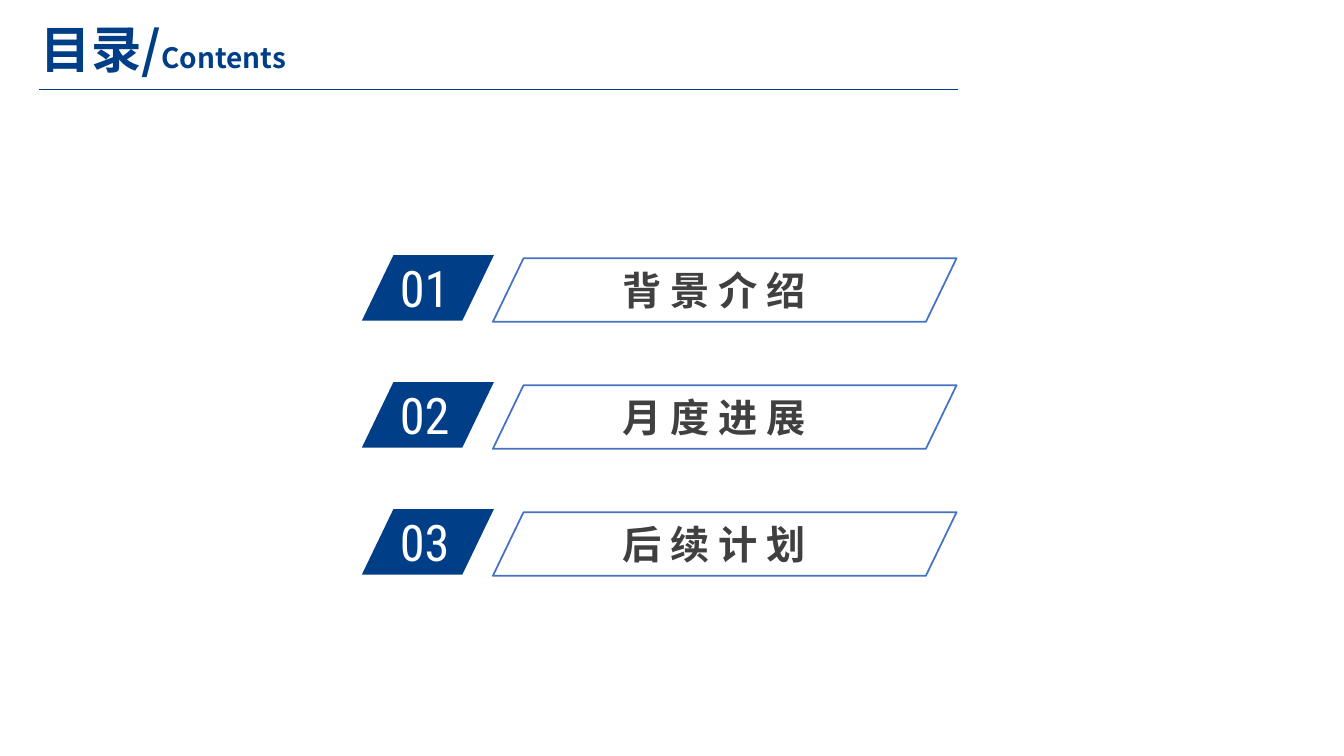
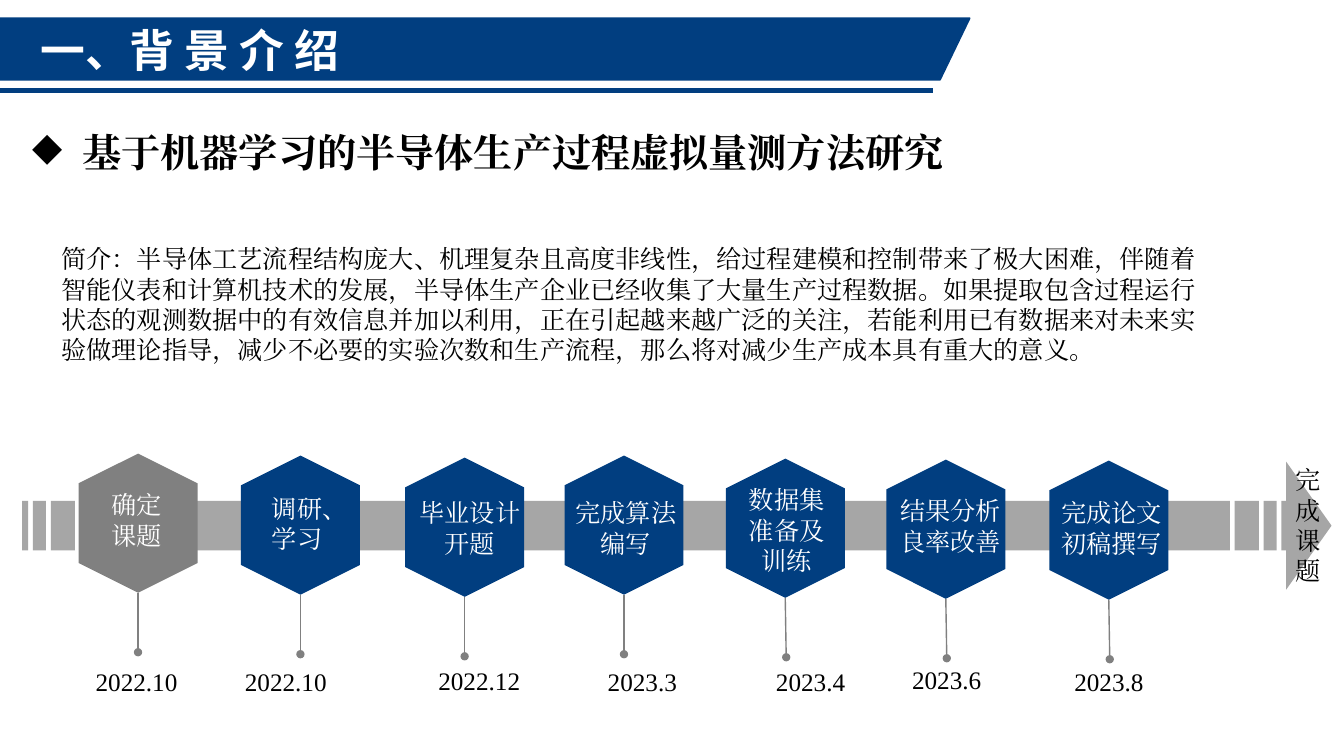
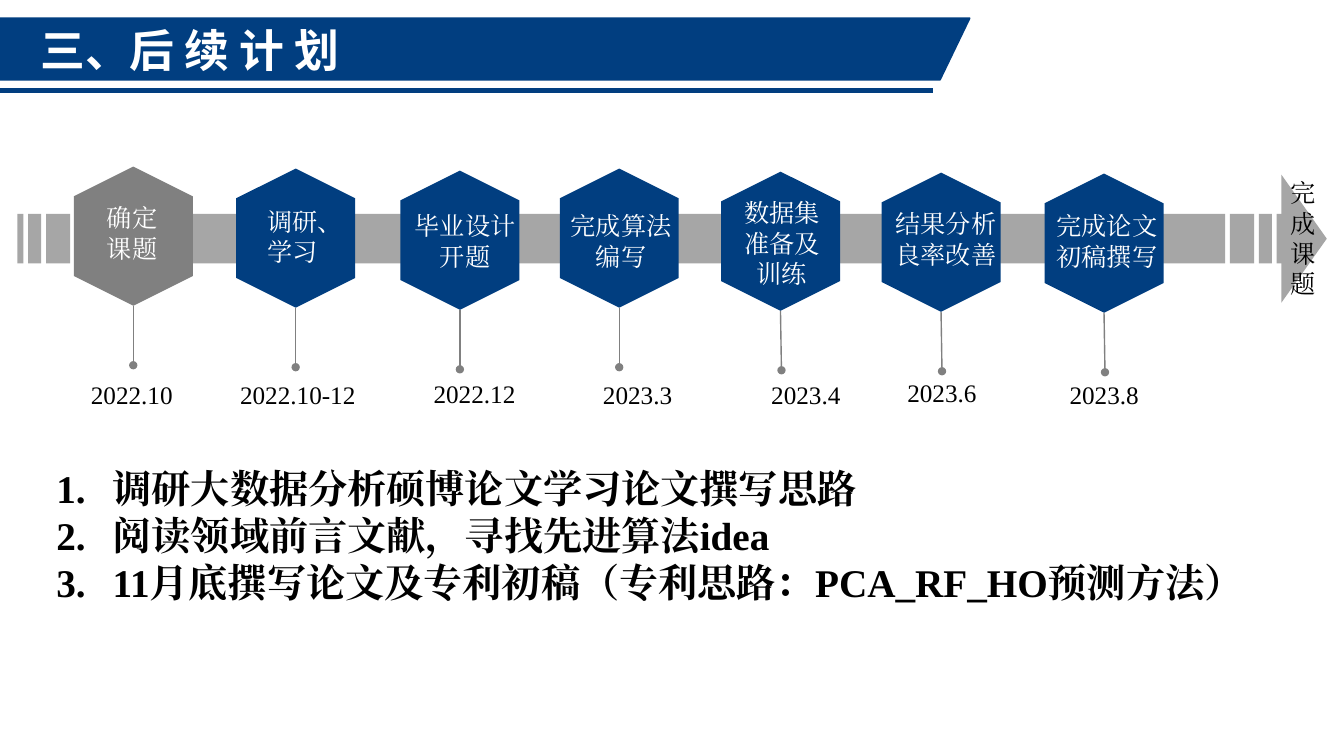
from dataclasses import dataclass

from pptx import Presentation
from pptx.dml.color import RGBColor
from pptx.enum.shapes import MSO_CONNECTOR, MSO_SHAPE
from pptx.enum.text import MSO_ANCHOR, PP_ALIGN
from pptx.oxml.ns import qn
from pptx.util import Pt
from lxml.etree import SubElement


@dataclass(frozen=True)
class Theme:
    navy: str = "003F88"
    band: str = "013E80"
    frame: str = "4472C4"
    rail: str = "A6A6A6"
    gray: str = "808080"
    dark: str = "404040"
    black: str = "000000"
    white: str = "FFFFFF"
    sans: str = "Noto Sans CJK SC"
    slim: str = "Roboto Condensed"
    serif: str = "Times New Roman"
    big: int = 36
    head: int = 32
    lead: int = 28
    sub: int = 20
    body: int = 18
    slant: float = 0.482


THEME = Theme()


@dataclass(frozen=True)
class Step:
    """A milestone: hexagon centre, then label and date boxes."""
    label: str
    date: str
    x: float
    y: float
    box: tuple
    spot: tuple
    align: PP_ALIGN = PP_ALIGN.CENTER
    fill: str = THEME.band
    lean: float = 0


STEPS = [
    Step("确定课题", "2022.10", 98.6, 373.7, (72.7, 346.3, 51.2, 51), (61.2, 472.3),
         align=PP_ALIGN.LEFT, fill=THEME.gray),
    Step("调研、学习", "2022.10", 214.6, 375.1, (187.2, 348.5, 72, 51), (167.8, 472.3),
         align=PP_ALIGN.LEFT),
    Step("毕业设计\n开题", "2022.12", 331.9, 376.6, (290.6, 352, 90, 51), (306, 471.6)),
    Step("完成算法编写", "2023.3", 445.7, 375.1, (399.6, 352, 95, 51), (427, 472.3)),
    Step("数据集准备及训练", "2023.4", 560.9, 377.3, (523.4, 342.7, 77, 72.7), (547.2, 472.3),
         lean=0.7),
    Step("结果分析良率改善", "2023.6", 675.6, 378, (632.2, 350.6, 93.6, 51), (644.4, 470.9),
         lean=0.7),
    Step("完成论文初稿撰写", "2023.8", 792, 378.7, (751, 352, 89.3, 51), (760.3, 472.3),
         align=PP_ALIGN.LEFT, lean=0.7),
]

INTRO = (
    "简介：半导体工艺流程结构庞大、机理复杂且高度非线性，给过程建模和控制带来了极大困难，"
    "伴随着智能仪表和计算机技术的发展，半导体生产企业已经收集了大量生产过程数据。"
    "如果提取包含过程运行状态的观测数据中的有效信息并加以利用，正在引起越来越广泛的关注，"
    "若能利用已有数据来对未来实验做理论指导，减少不必要的实验次数和生产流程，"
    "那么将对减少生产成本具有重大的意义。"
)

PLANS = (
    "调研大数据分析硕博论文学习论文撰写思路\n"
    "阅读领域前言文献，寻找先进算法idea\n"
    "11月底撰写论文及专利初稿（专利思路：PCA_RF_HO预测方法）"
)


def rgb(code):
    return RGBColor.from_string(code)


def style(run, size, color, font, bold):
    run.font.size = Pt(size)
    run.font.color.rgb = rgb(color)
    run.font.bold = bold
    run.font.name = font
    SubElement(run.font._element, qn("a:ea")).set("typeface", font)


def bullet(para, tag, indent, **attrs):
    """Give a paragraph a hanging bullet of the given XML kind."""
    props = para._p.get_or_add_pPr()
    props.set("marL", str(Pt(indent)))
    props.set("indent", str(-Pt(indent)))
    mark = SubElement(props, qn(tag))
    for key, value in attrs.items():
        mark.set(key, value)


def text(slide, words, box, size=THEME.body, color=THEME.black, font=THEME.serif,
         bold=False, align=PP_ALIGN.LEFT, anchor=MSO_ANCHOR.TOP, inset=(7.2, 3.6),
         wrap=True):
    """Write one paragraph for each line of words, and return the frame."""
    frame = slide.shapes.add_textbox(*map(Pt, box)).text_frame
    frame.word_wrap = wrap
    frame.vertical_anchor = anchor
    frame.margin_left = frame.margin_right = Pt(inset[0])
    frame.margin_top = frame.margin_bottom = Pt(inset[1])
    for i, line in enumerate(words.split("\n")):
        para = frame.add_paragraph() if i else frame.paragraphs[0]
        para.alignment = align
        run = para.add_run()
        run.text = line
        style(run, size, color, font, bold)
    return frame


def shape(slide, kind, box, fill=None, line=None, slant=None, turn=0):
    item = slide.shapes.add_shape(kind, *map(Pt, box))
    item.shadow.inherit = False
    item.rotation = turn
    if slant:
        item.adjustments[0] = slant
    if fill:
        item.fill.solid()
        item.fill.fore_color.rgb = rgb(fill)
    else:
        item.fill.background()
    if line:
        item.line.color.rgb = rgb(line)
        item.line.width = Pt(1.25)
    else:
        item.line.fill.background()


def rule(slide, start, end, color, width, dot=False):
    line = slide.shapes.add_connector(MSO_CONNECTOR.STRAIGHT, *map(Pt, start + end))
    line.line.color.rgb = rgb(color)
    line.line.width = Pt(width)
    if dot:
        SubElement(line.line._get_or_add_ln(), qn("a:tailEnd")).set("type", "oval")
    SubElement(line._element.spPr, qn("a:effectLst"))


def banner(slide, title):
    shape(slide, MSO_SHAPE.PARALLELOGRAM, (-20.9, 13, 713.5, 43.9),
          fill=THEME.band, line=THEME.band, slant=THEME.slant)
    text(slide, title, (23.8, 13, 330, 43.9), size=THEME.head, color=THEME.white,
         font=THEME.sans, bold=True, inset=(5, 2.9))
    rule(slide, (0, 64.4), (666.7, 64.4), THEME.band, 3.5)


def rail(slide, dx, dy):
    """Draw the broken gray bar and its arrow head."""
    left = 15.8 + dx
    for width in (4.3, 9.4, 17.3, 821.5, 17.3, 9.4, 4.3):
        shape(slide, MSO_SHAPE.RECTANGLE, (left, 357.8 + dy, width, 35.3), fill=THEME.rail)
        left += width + 3.4
    shape(slide, MSO_SHAPE.ISOSCELES_TRIANGLE, (889.2 + dx, 359.3 + dy, 91.4, 32.4),
          fill=THEME.rail, turn=90)
    text(slide, "完成课题", (918 + dx, 328.3 + dy, 32.4, 94.3))


def milestone(slide, step, date, dx, dy):
    x, y = step.x + dx, step.y + dy
    long, short = 99.4, 85
    shape(slide, MSO_SHAPE.HEXAGON, (x - long / 2, y - short / 2, long, short),
          fill=step.fill, turn=90)
    foot = y + long / 2
    rule(slide, (x, foot), (x + step.lean, foot + 42.5), THEME.gray, 1, dot=True)
    left, top, width, height = step.box
    text(slide, step.label, (left + dx, top + dy, width, height),
         color=THEME.white, align=step.align)
    left, top = step.spot
    text(slide, date, (left + dx, top + dy, 8.6 * len(date) + 13.2, 29), wrap=False)


def timeline(slide, dx=0, dy=0, dates=None):
    """Draw all milestones; dates replaces the date of some labels."""
    rail(slide, dx, dy)
    for step in STEPS:
        date = (dates or {}).get(step.label, step.date)
        milestone(slide, step, date, dx, dy)


def entry(slide, number, title, top):
    shape(slide, MSO_SHAPE.PARALLELOGRAM, (258.5, top, 94.3, 46.8),
          fill=THEME.navy, slant=THEME.slant)
    text(slide, number, (278.6, top - 1.8, 89.3, 51), size=THEME.big,
         color=THEME.white, font=THEME.slim)
    text(slide, title, (388.8, top + 5, 242.6, 39.6), size=THEME.lead, color=THEME.dark,
         font=THEME.sans, bold=True, align=PP_ALIGN.CENTER, inset=(5, 2.9))
    shape(slide, MSO_SHAPE.PARALLELOGRAM, (352.1, top + 2.3, 331.2, 45.4),
          line=THEME.frame, slant=THEME.slant)


def contents(slide):
    frame = text(slide, "目录/", (-8.6, 15.1, 250.6, 38.9), size=THEME.big,
                 color=THEME.navy, font=THEME.sans, bold=True,
                 align=PP_ALIGN.CENTER, anchor=MSO_ANCHOR.MIDDLE)
    run = frame.paragraphs[0].add_run()
    run.text = "Contents"
    style(run, THEME.sub, THEME.navy, THEME.sans, True)
    rule(slide, (28, 64), (684, 64), THEME.navy, 0.5)
    for i, title in enumerate(("背 景 介 绍", "月 度 进 展", "后 续 计 划")):
        entry(slide, f"0{i + 1}", title, 182.2 + 90.7 * i)


def background(slide):
    banner(slide, "一、背 景 介 绍")
    topic = text(slide, "基于机器学习的半导体生产过程虚拟量测方法研究",
                 (15.8, 87.8, 675.4, 41), size=THEME.lead, bold=True, wrap=False)
    bullet(topic.paragraphs[0], "a:buChar", 36, char="◆")
    text(slide, INTRO, (36.7, 170.6, 834.5, 94.3))
    timeline(slide)


def plan(slide):
    banner(slide, "三、后 续 计 划")
    timeline(slide, dx=-3.4, dy=-205, dates={"调研、学习": "2022.10-12"})
    tasks = text(slide, PLANS, (33.1, 328.3, 913.7, 108.7), size=THEME.lead, bold=True)
    for para in tasks.paragraphs:
        bullet(para, "a:buAutoNum", 40.3, type="arabicPeriod")


def main():
    deck = Presentation()
    deck.slide_width, deck.slide_height = Pt(960), Pt(540)
    for build in (contents, background, plan):
        build(deck.slides.add_slide(deck.slide_layouts[6]))
    deck.save("out.pptx")


if __name__ == "__main__":
    main()
